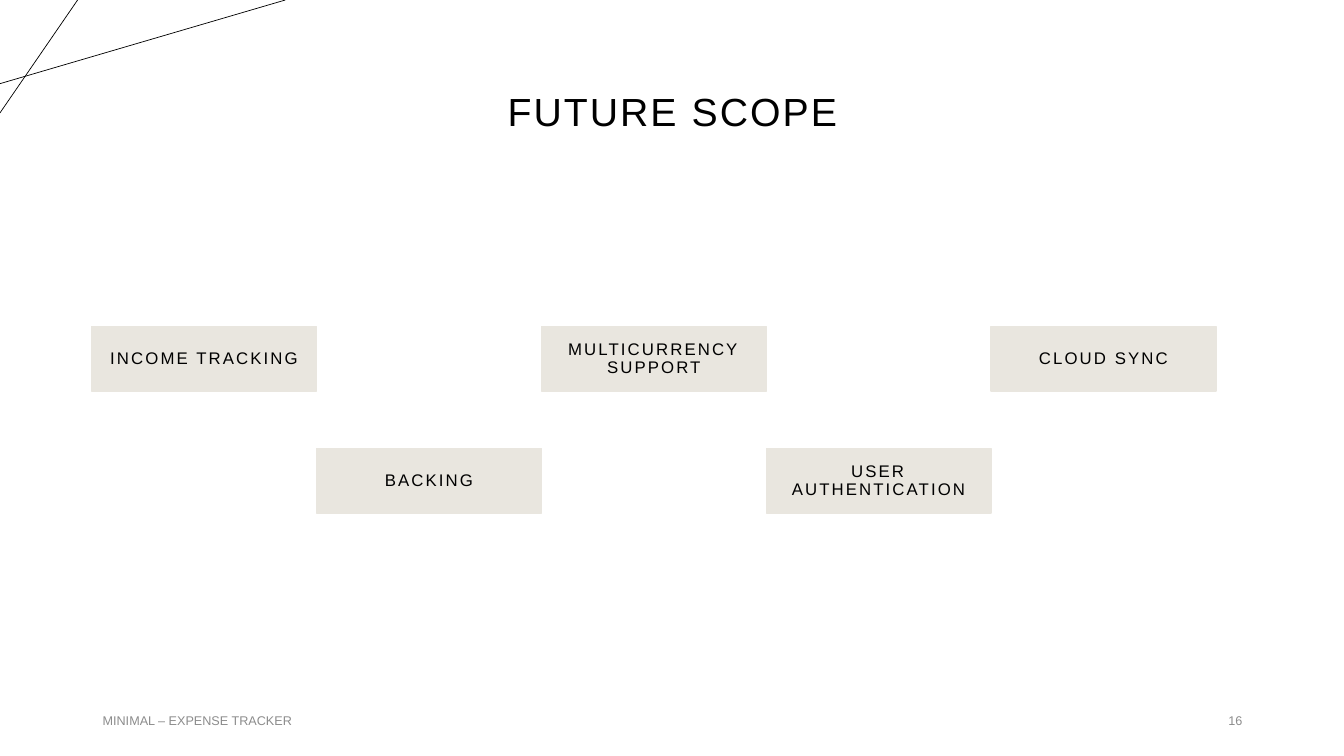
from lxml import etree
from pptx import Presentation
from pptx.dml.color import RGBColor
from pptx.enum import shapes, text
from pptx.oxml import ns
from pptx.util import Inches, Pt

COLORS = {"ink": "000000", "muted": "8C8C8C", "card": "E9E6DF"}
FONT = "Arial"
ALIGN = text.PP_ALIGN

CARD_WIDTH, CARD_HEIGHT = 2.23, 0.64
CARD_LEFT = 0.91
ROW_TOPS = (3.24, 4.45)
FEATURES = ["INCOME TRACKING", "BACKING", "MULTICURRENCY SUPPORT",
            "USER AUTHENTICATION", "CLOUD SYNC"]


def color(name):
    return RGBColor.from_string(COLORS[name])


def write_text(shape, content, size, ink="ink", align=ALIGN.CENTER,
               line_spacing=None, tracking=None, inset=None):
    frame = shape.text_frame
    frame.word_wrap = True
    frame.auto_size = text.MSO_AUTO_SIZE.NONE
    frame.vertical_anchor = text.MSO_ANCHOR.MIDDLE
    if inset is not None:
        frame.margin_left = frame.margin_right = Inches(inset)
        frame.margin_top = frame.margin_bottom = Inches(inset)
    paragraph = frame.paragraphs[0]
    paragraph.alignment = align
    paragraph.line_spacing = line_spacing
    run = paragraph.add_run()
    run.text = content
    run.font.name = FONT
    run.font.size = Pt(size)
    run.font.color.rgb = color(ink)
    if tracking:
        # Letter spacing is stored in hundredths of a point
        run._r.get_or_add_rPr().set("spc", str(round(tracking * 100)))


def add_title(slide, content):
    title = slide.shapes.title
    title.left, title.top = Inches(0.92), Inches(0.4)
    title.width, title.height = Inches(11.5), Inches(1.45)
    write_text(title, content, 28, line_spacing=0.9, tracking=1.5)


def add_line(slide, start, end):
    line = slide.shapes.add_connector(
        shapes.MSO_CONNECTOR.STRAIGHT,
        *(Inches(value) for value in (*start, *end)))
    line.line.color.rgb = color("ink")
    line.line.width = Pt(0.5)
    etree.SubElement(line._element.spPr, ns.qn("a:effectLst"))


def add_card(slide, left, top, content):
    card = slide.shapes.add_shape(
        shapes.MSO_SHAPE.RECTANGLE, Inches(left), Inches(top),
        Inches(CARD_WIDTH), Inches(CARD_HEIGHT))
    card.shadow.inherit = False
    card.fill.solid()
    card.fill.fore_color.rgb = color("card")
    card.line.color.rgb = color("card")
    card.line.width = Pt(1)
    write_text(card, content, 12, line_spacing=0.9, tracking=1.5, inset=0.16)


def add_footer(slide, left, content, align):
    box = slide.shapes.add_textbox(
        Inches(left), Inches(6.95), Inches(3), Inches(0.4))
    write_text(box, content, 9, ink="muted", align=align)


def main():
    presentation = Presentation()
    presentation.slide_width = Inches(13.33)
    presentation.slide_height = Inches(7.5)
    slide = presentation.slides.add_slide(presentation.slide_layouts[5])

    # Corner decoration
    add_line(slide, (0, 0.83), (2.83, 0))
    add_line(slide, (0.77, 0), (0, 1.12))

    add_title(slide, "FUTURE SCOPE")

    # Feature cards step across, alternating between two rows
    for index, feature in enumerate(FEATURES):
        add_card(slide, CARD_LEFT + index * CARD_WIDTH,
                 ROW_TOPS[index % 2], feature)

    # Footer
    add_footer(slide, 0.92, "MINIMAL – EXPENSE TRACKER", ALIGN.LEFT)
    add_footer(slide, 9.42, "16", ALIGN.RIGHT)

    presentation.save("out.pptx")


if __name__ == "__main__":
    main()
